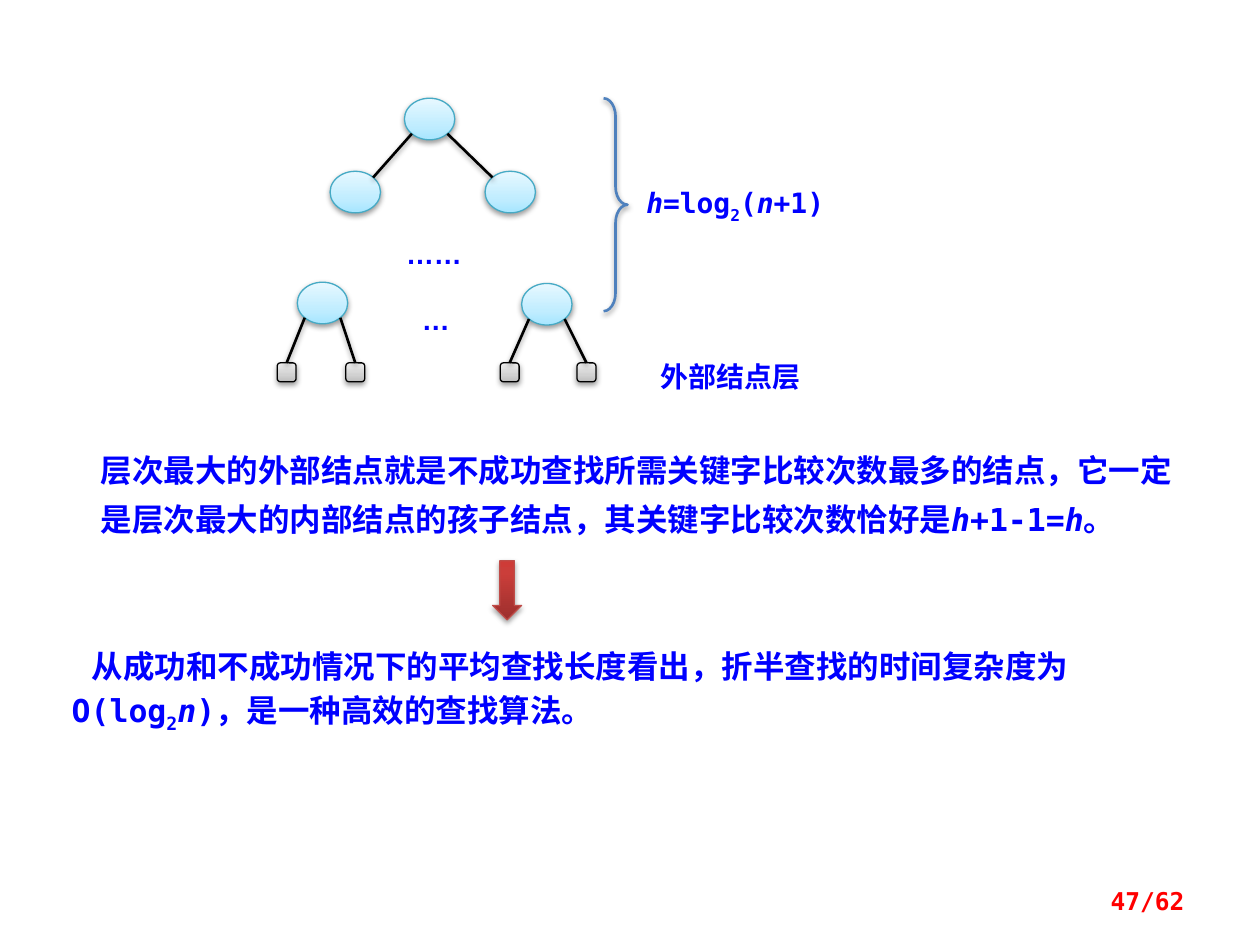
"""Build the slide on the height of a binary search decision tree."""
import copy
import math

import lxml.etree
import pptx
import pptx.dml.color
import pptx.enum.shapes
import pptx.enum.text
import pptx.oxml.ns
import pptx.util

THEME = {
    "mono": "DejaVu Sans Mono", "sans": "Arial",
    "body": 18, "label": 16, "page": 14, "leading": 28,
    "text": "0000FF", "page_text": "FF0000", "edge": "000000", "brace": "4F81BD",
    "inner": {"stops": [(0, "A7E6FF"), (0.35, "C1EDFF"), (1, "E7F8FF")], "line": "46AAC5"},
    "leaf": {"stops": [(0, "BDBDBD"), (0.35, "D1D1D1"), (1, "EEEEEE")], "line": "000000"},
    "arrow": {"stops": [(0, "9C2F2D"), (0.8, "CB3E3A"), (1, "CE3B37")], "line": "BF4C48"},
    "thin": 0.75, "thick": 1.5,
    "shadow": {"blurRad": 3.1, "dist": 1.6, "alpha": 38},
}
SHAPES = pptx.enum.shapes.MSO_SHAPE
ALIGN = pptx.enum.text.PP_ALIGN
qn = pptx.oxml.ns.qn

presentation = pptx.Presentation()
presentation.slide_width = pptx.util.Inches(10)
presentation.slide_height = pptx.util.Inches(7.5)
slide = presentation.slides.add_slide(presentation.slide_layouts[6])
column = presentation.slide_width / 100
row = presentation.slide_height / 75


def decorate(shape, line, width, stops=()):
    """Give a shape or connector its line, shadow and gradient."""
    shape.line.color.rgb = pptx.dml.color.RGBColor.from_string(line)
    shape.line.width = pptx.util.Pt(width)
    properties = shape._element.spPr
    if stops:
        shape.fill.gradient()
        shape.fill.gradient_angle = 90
        stop_list = properties.find(qn("a:gradFill")).find(qn("a:gsLst"))
        stop_list.append(copy.deepcopy(stop_list[-1]))
        for stop, (position, color) in zip(shape.fill.gradient_stops, stops):
            stop.position = position
            stop.color.rgb = pptx.dml.color.RGBColor.from_string(color)
    shadow = THEME["shadow"]
    effects = lxml.etree.SubElement(properties, qn("a:effectLst"))
    outer = lxml.etree.SubElement(
        effects, qn("a:outerShdw"), rotWithShape="0", dir="5400000",
        blurRad=str(pptx.util.Pt(shadow["blurRad"])), dist=str(pptx.util.Pt(shadow["dist"])))
    black = lxml.etree.SubElement(outer, qn("a:srgbClr"), val="000000")
    lxml.etree.SubElement(black, qn("a:alpha"), val=str(shadow["alpha"] * 1000))


def add_text(box, runs, size, align, font="mono", color="text", inset=True):
    """Add a text box whose runs are (text, italic, baseline percent)."""
    left, top, width, height = box
    shape = slide.shapes.add_textbox(
        round(left * column), round(top * row), round(width * column), round(height * row))
    frame = shape.text_frame
    frame.word_wrap = True
    if not inset:
        frame.margin_left = frame.margin_right = frame.margin_top = frame.margin_bottom = 0
    paragraph = frame.paragraphs[0]
    paragraph.alignment = align
    for text, italic, baseline in runs:
        run = paragraph.add_run()
        run.text = text
        run.font.name = THEME[font]
        run.font.size = pptx.util.Pt(THEME[size])
        run.font.bold = True
        run.font.italic = italic
        run.font.color.rgb = pptx.dml.color.RGBColor.from_string(THEME[color])
        if baseline:
            run._r.get_or_add_rPr().set("baseline", str(baseline * 1000))
    return frame


sizes = {"inner": (4, 3.3), "leaf": (1.5, 1.5)}
presets = {"inner": SHAPES.OVAL, "leaf": SHAPES.ROUNDED_RECTANGLE}
diagonal = math.sqrt(0.5) / 2
offset_x, offset_y = (diagonal * length for length in sizes["inner"])
subtrees = [
    ((34.1, 9.45), "inner", 15.25, (28.2, 40.5)),
    ((25.6, 24.05), "leaf", 29.55, (22.75, 28.2)),
    ((43.4, 24.15), "leaf", 29.55, (40.45, 46.55)),
]
for (parent_x, parent_y), kind, child_y, children in subtrees:
    nodes = [("inner", parent_x, parent_y)] + [(kind, x, child_y) for x in children]
    for name, x, y in nodes:
        width, height = sizes[name]
        node = slide.shapes.add_shape(
            presets[name], round((x - width / 2) * column), round((y - height / 2) * row),
            round(width * column), round(height * row))
        decorate(node, THEME[name]["line"], THEME["thin"], THEME[name]["stops"])
    for side, x in zip((-1, 1), children):
        if kind == "inner":
            end_x, end_y = x - side * offset_x, child_y - offset_y
        else:
            end_x, end_y = x, child_y - sizes["leaf"][1] / 2
        edge = slide.shapes.add_connector(
            pptx.enum.shapes.MSO_CONNECTOR.STRAIGHT,
            round((parent_x + side * offset_x) * column), round((parent_y + offset_y) * row),
            round(end_x * column), round(end_y * row))
        decorate(edge, THEME["edge"], THEME["thick"])

brace = slide.shapes.add_shape(
    SHAPES.RIGHT_BRACE, round(47.9 * column), round(7.8 * row),
    round(1.9 * column), round(16.9 * row))
brace.adjustments[0] = 0.76
brace.fill.background()
decorate(brace, THEME["brace"], THEME["thick"])

arrow = slide.shapes.add_shape(
    SHAPES.DOWN_ARROW, round(39.1 * column), round(44.5 * row),
    round(2.3 * column), round(4.7 * row))
decorate(arrow, THEME["arrow"]["line"], THEME["thin"], THEME["arrow"]["stops"])

height_formula = [("h", True, 0), ("=log", False, 0), ("2", False, -30),
                  ("(", False, 0), ("n", True, 0), ("+1)", False, 0)]
labels = [
    ((51.1, 14.7, 14.5, 2.8), height_formula, "mono"),
    ((29.6, 18.8, 9.7, 2.8), [("……", False, 0)], "sans"),
    ((31.1, 24, 7, 2.8), [("…", False, 0)], "sans"),
    ((51.1, 28.5, 13.8, 2.8), [("外部结点层", False, 0)], "mono"),
]
for box, runs, font in labels:
    add_text(box, runs, "label", ALIGN.CENTER, font, inset=False)

comparison = [
    ("层次最大的外部结点就是不成功查找所需关键字比较次数最多的结点，它一定是层次最大的内部结点的孩子结点，"
     "其关键字比较次数恰好是", False, 0),
    ("h", True, 0), ("+1-1=", False, 0), ("h", True, 0), ("。", False, 0)]
conclusion = [
    ("从成功和不成功情况下的平均查找长度看出，折半查找的时间复杂度为O(log", False, 0),
    ("2", False, -25), ("n", True, 0), (")，是一种高效的查找算法。", False, 0)]
for box, runs, indent in [((7, 34.4, 87.5, 8.9), comparison, 0),
                          ((4.7, 50, 85.2, 8.9), conclusion, 1.6)]:
    frame = add_text(box, runs, "body", ALIGN.LEFT)
    frame.auto_size = pptx.enum.text.MSO_AUTO_SIZE.SHAPE_TO_FIT_TEXT
    paragraph = frame.paragraphs[0]
    paragraph.line_spacing = pptx.util.Pt(THEME["leading"])
    paragraph._p.get_or_add_pPr().set("indent", str(round(indent * column)))

page = add_text((71.7, 69.5, 23.3, 4), [("47/62", False, 0)], "page", ALIGN.RIGHT,
                color="page_text")
page.vertical_anchor = pptx.enum.text.MSO_ANCHOR.MIDDLE

presentation.save("out.pptx")
